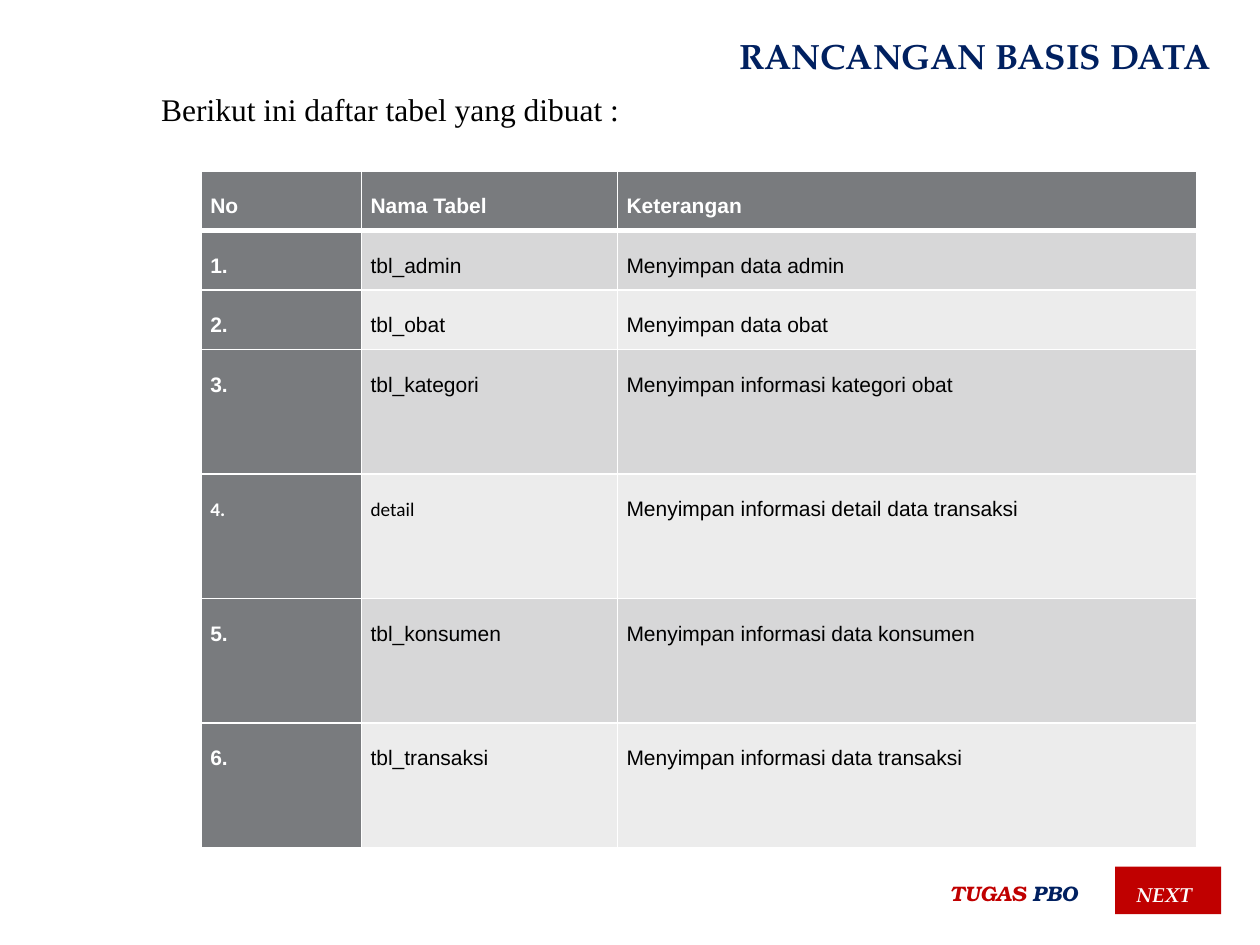
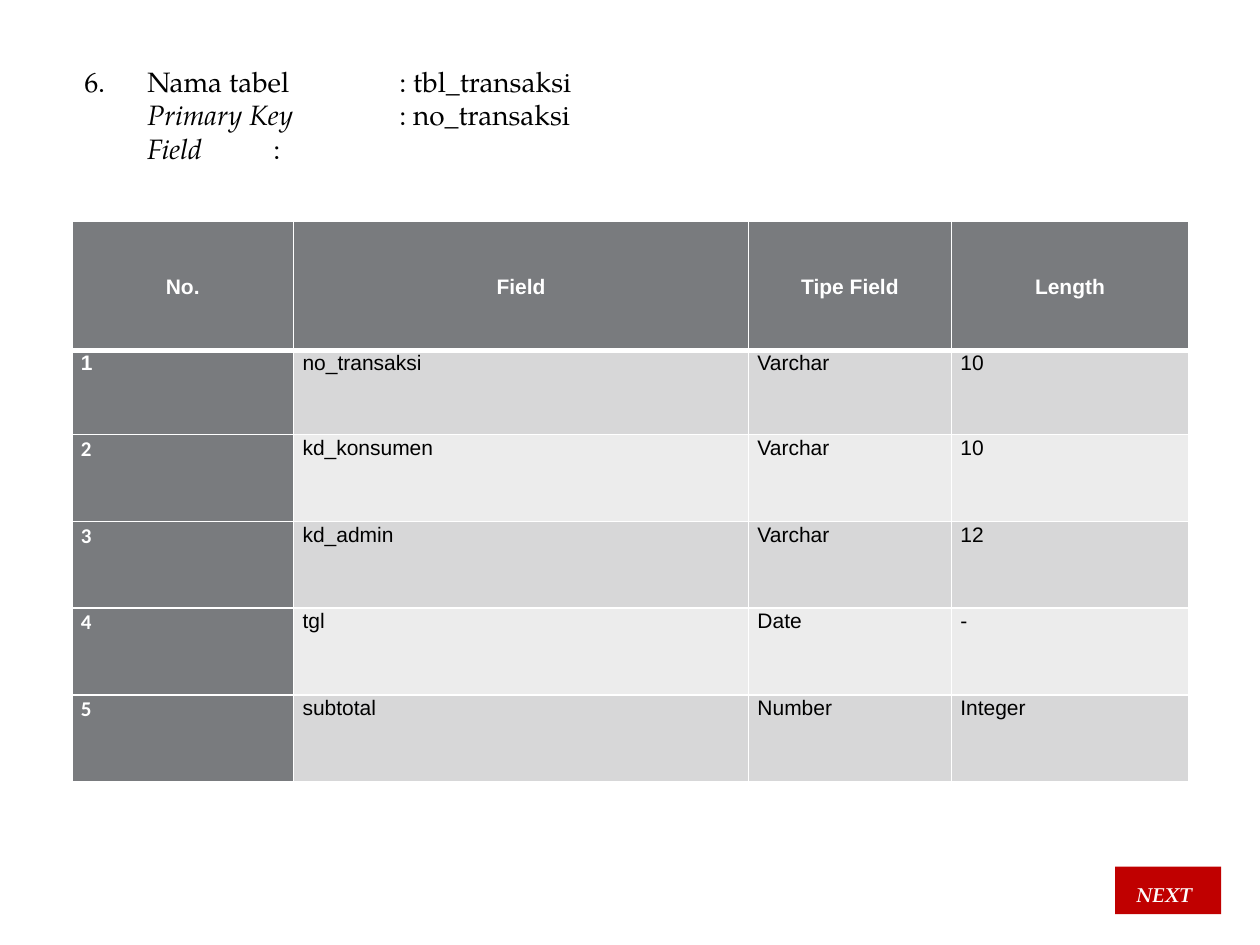
"""Build two slides that describe the database tables of a pharmacy application."""
import pptx
import pptx.dml.color
import pptx.enum.shapes
import pptx.enum.text
import pptx.oxml
import pptx.oxml.ns
import pptx.util

Cm = pptx.util.Cm
Pt = pptx.util.Pt
ALIGN = pptx.enum.text.PP_ALIGN
ANCHOR = pptx.enum.text.MSO_ANCHOR

RED, NAVY, BLACK, WHITE = "C00000", "002060", "000000", "FFFFFF"
HEADER_FILL, BAND_FILLS = "797B7E", ["D7D7D8", "ECECEC"]
HEADING_FONT = "TeX Gyre Pagella"
TITLE = {"name": HEADING_FONT, "size": Pt(20), "bold": True, "color": NAVY}
INTRO = {"name": "Times New Roman", "size": Pt(18), "color": BLACK}
COURSE = {"name": "TeX Gyre Bonum", "size": Pt(12), "bold": True, "italic": True}
DETAIL = {"name": HEADING_FONT, "size": Pt(16), "color": BLACK}
BUTTON = {"name": HEADING_FONT, "size": Pt(20), "bold": True, "italic": True, "color": "FDFDFD"}
CELL = {"name": "Arial", "size": Pt(12), "bold": False, "color": BLACK}
HEADER_CELL = CELL | {"bold": True, "color": WHITE}


def rgb(hex_color):
    return pptx.dml.color.RGBColor.from_string(hex_color)


def add_run(paragraph, text, values):
    run = paragraph.add_run()
    run.text = text
    for attribute, value in values.items():
        if attribute == "color":
            run.font.color.rgb = rgb(value)
        else:
            setattr(run.font, attribute, value)
    return run


presentation = pptx.Presentation()
presentation.slide_width = Cm(25.4)
presentation.slide_height = Cm(19.05)

slide_contents = [
    {
        "texts": [
            ((18.9, 17.63, 3.28, 0.76), [[("TUGAS ", COURSE | {"color": RED}),
                                          ("PBO", COURSE | {"color": NAVY})]]),
            ((14.65, 0.58, 10.3, 1.12), [[("RANCANGAN BASIS DATA", TITLE)]]),
            ((3.0, 1.7, 10.2, 2.24), [[("Berikut ini daftar tabel yang dibuat :", INTRO)]]),
        ],
        "table_corner": (4.06, 3.45),
        "column_widths": [3.23, 5.16, 11.68],
        "row_heights": [1.2] * 3 + [2.51] * 4,
        "line_spacing": 2.0,
        "header": {"align": ALIGN.LEFT, "anchor": ANCHOR.TOP},
        "number_align": ALIGN.LEFT,
        "rows": [
            ["No", "Nama Tabel", "Keterangan"],
            ["1.", "tbl_admin", "Menyimpan data admin"],
            ["2.", "tbl_obat", "Menyimpan data obat"],
            ["3.", "tbl_kategori", "Menyimpan informasi kategori obat"],
            ["4.", "detail", "Menyimpan informasi detail data transaksi"],
            ["5.", "tbl_konsumen", "Menyimpan informasi data konsumen"],
            ["6.", "tbl_transaksi", "Menyimpan informasi data transaksi"],
        ],
        "exceptions": {(4, column): {"name": "Calibri", "size": Pt(11)} for column in (0, 1)},
    },
    {
        "texts": [
            ((1.45, 1.17, 22.5, 2.31), [
                [("6.\tNama tabel\t\t: tbl_transaksi", DETAIL)],
                [("\tPrimary Key \t\t", DETAIL | {"italic": True}), (": no_transaksi", DETAIL)],
                [("\tField\t\t", DETAIL | {"italic": True}), (":", DETAIL)],
            ]),
        ],
        "table_corner": (1.45, 4.47),
        "column_widths": [4.47, 9.17, 4.09, 4.78],
        "row_heights": [2.59, 1.7] + [1.75] * 4,
        "line_spacing": 1.07,
        "header": {"align": ALIGN.CENTER, "anchor": ANCHOR.MIDDLE},
        "number_align": ALIGN.JUSTIFY,
        "rows": [
            ["No.", "Field", "Tipe Field", "Length"],
            ["1", "no_transaksi", "Varchar", "10"],
            ["2", "kd_konsumen", "Varchar", "10"],
            ["3", "kd_admin", "Varchar", "12"],
            ["4", "tgl", "Date", "-"],
            ["5", "subtotal", "Number", "Integer"],
        ],
        "exceptions": {(row, 0): {"name": "Calibri"} for row in range(2, 6)},
    },
]

for content in slide_contents:
    slide = presentation.slides.add_slide(presentation.slide_layouts[6])

    rows, widths, heights = content["rows"], content["column_widths"], content["row_heights"]
    left, top = content["table_corner"]
    table = slide.shapes.add_table(len(rows), len(widths), Cm(left), Cm(top),
                                   Cm(sum(widths)), Cm(sum(heights))).table
    for column, width in zip(table.columns, widths):
        column.width = Cm(width)
    for row, height in zip(table.rows, heights):
        row.height = Cm(height)

    for row_index, row in enumerate(rows):
        for column_index, text in enumerate(row):
            cell = table.cell(row_index, column_index)
            is_header = row_index == 0
            is_dark = is_header or column_index == 0
            margins = {"margin_left": Cm(0.18), "margin_right": Cm(0.18),
                       "margin_top": 0, "margin_bottom": 0}
            for attribute, value in margins.items():
                setattr(cell, attribute, value)
            cell.vertical_anchor = content["header"]["anchor"] if is_header else ANCHOR.TOP

            border_widths = {"L": 1, "R": 1, "T": 3 if row_index == 1 else 1,
                             "B": 3 if is_header else 1}
            for side, width in border_widths.items():
                cell._tc.get_or_add_tcPr().append(pptx.oxml.parse_xml(
                    f'<a:ln{side} {pptx.oxml.ns.nsdecls("a")} w="{Pt(width)}"><a:solidFill>'
                    f'<a:srgbClr val="{WHITE}"/></a:solidFill></a:ln{side}>'))
            cell.fill.solid()
            cell.fill.fore_color.rgb = rgb(HEADER_FILL if is_dark else BAND_FILLS[(row_index - 1) % 2])

            paragraph = cell.text_frame.paragraphs[0]
            paragraph.line_spacing = content["line_spacing"]
            if is_header:
                paragraph.alignment = content["header"]["align"]
            else:
                paragraph.alignment = ALIGN.JUSTIFY if column_index else content["number_align"]
            exception = content["exceptions"].get((row_index, column_index), {})
            add_run(paragraph, text, (HEADER_CELL if is_dark else CELL) | exception)

    for box, lines in content["texts"]:
        frame = slide.shapes.add_textbox(*map(Cm, box)).text_frame
        frame.word_wrap = True
        for line_index, line in enumerate(lines):
            paragraph = frame.add_paragraph() if line_index else frame.paragraphs[0]
            for text, values in line:
                add_run(paragraph, text, values)

    button = slide.shapes.add_shape(pptx.enum.shapes.MSO_SHAPE.RECTANGLE,
                                    Cm(22.48), Cm(17.47), Cm(2.14), Cm(0.96))
    button.shadow.inherit = False
    button.fill.solid()
    button.fill.fore_color.rgb = rgb(RED)
    button.line.fill.background()
    button_format = {"margin_left": Cm(0.43), "margin_right": 0, "margin_top": 0,
                     "margin_bottom": 0, "vertical_anchor": ANCHOR.MIDDLE, "word_wrap": True}
    for attribute, value in button_format.items():
        setattr(button.text_frame, attribute, value)
    paragraph = button.text_frame.paragraphs[0]
    paragraph.alignment = ALIGN.LEFT
    paragraph.line_spacing = 0.96
    label = add_run(paragraph, "NEXT", BUTTON)
    label.font._element.set("baseline", "1000")

presentation.save("out.pptx")
